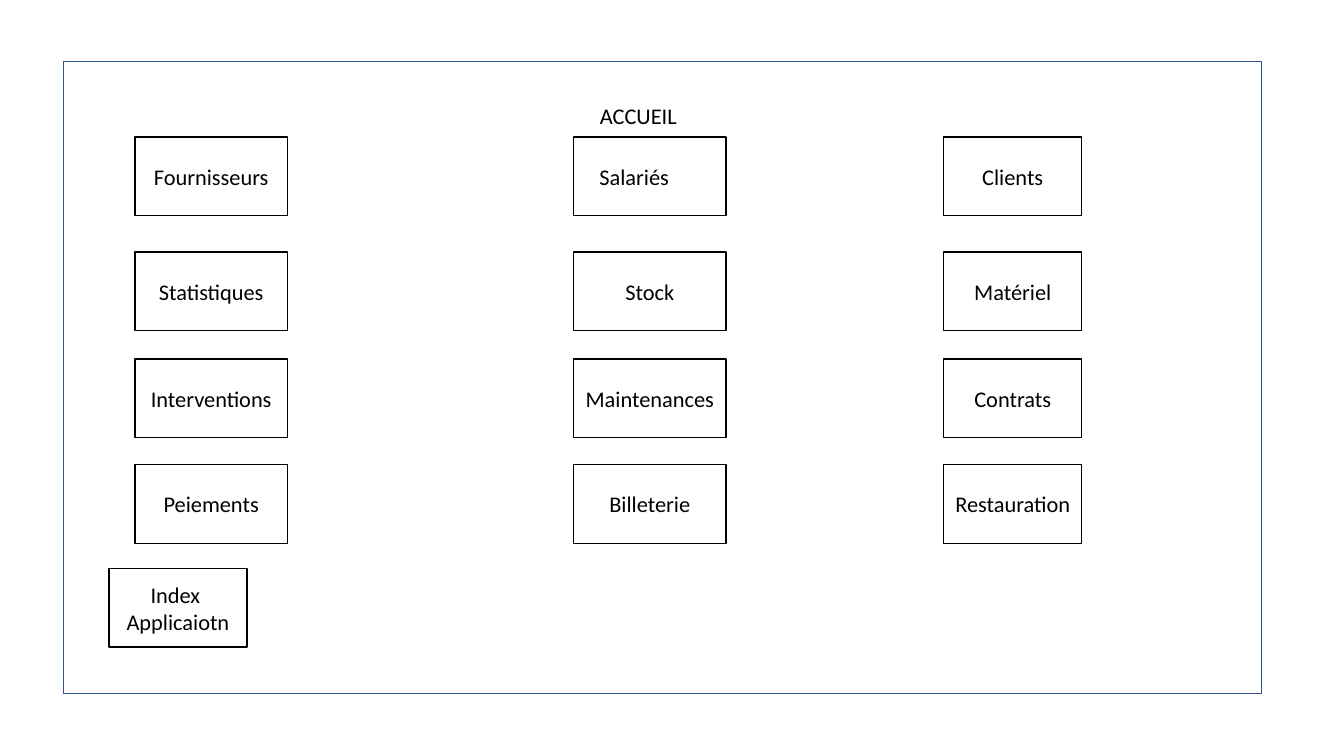
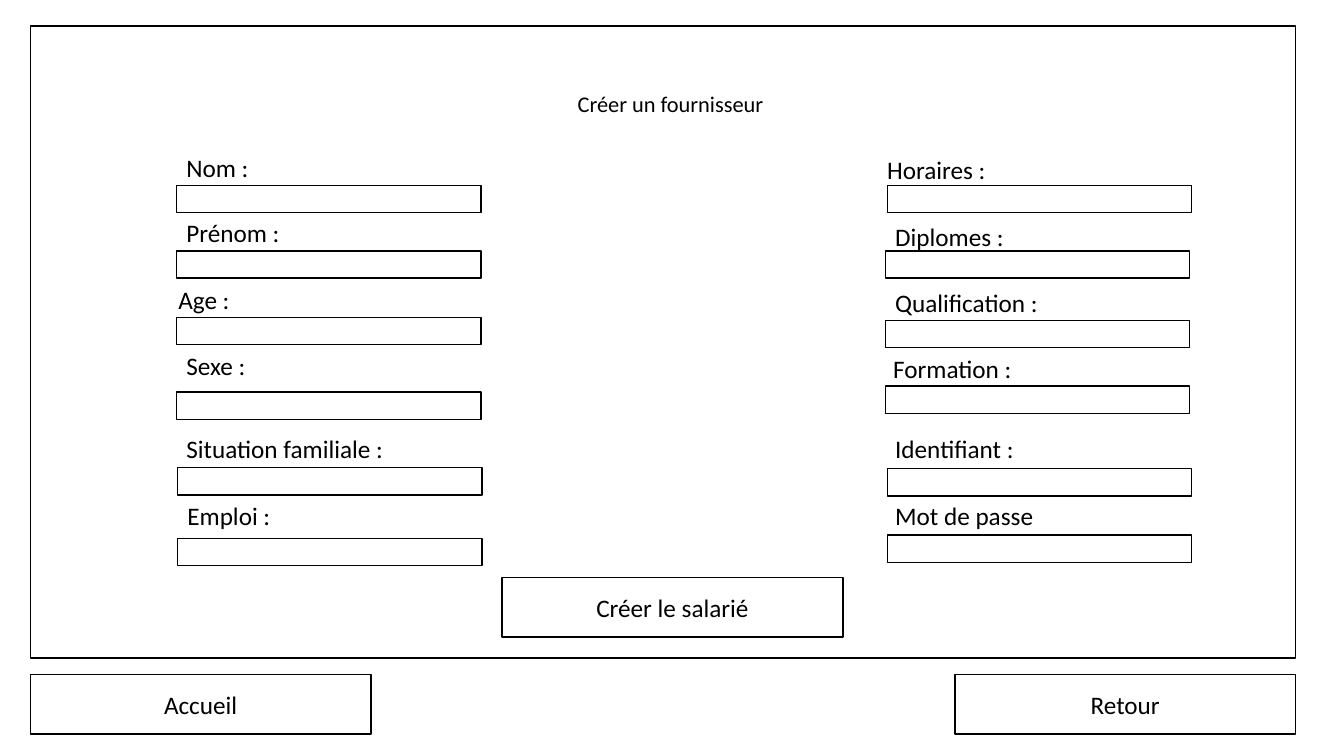
from pptx import Presentation
from pptx.dml.color import RGBColor
from pptx.enum import shapes, text
from pptx.util import Inches, Pt

COLORS = {"ink": "000000", "paper": "FFFFFF", "blue": "325491"}
FONT = "Calibri"

HOME = {"title": ("ACCUEIL", (5.85, 0.96, 1.06, 0.37)),
        "frame": (0.63, 0.61, 11.88, 6.27)}
MENU = [
    (1.34, 1.51, ["Fournisseurs", "Statistiques", "Interventions", "Peiements"]),
    (5.69, 1.51, ["Salariés\t", "Stock", "Maintenances", "Billeterie"]),
    (9.36, 1.37, ["Clients", "Matériel", "Contrats", "Restauration"]),
]
ROWS = [1.36, 2.5, 3.56, 4.61]
TILE = 0.78
INDEX = ("Index \nApplicaiotn", (1.08, 5.64, 1.37, TILE))

FORM = {"title": ("Créer un fournisseur", (5.63, 0.84, 2.08, 0.37)),
        "frame": (0.3, 0.26, 12.55, 6.27)}
FIELDS = [
    ("Nom :", 1.75, 1.46, 1.75, 1.84),
    ("Prénom :", 1.75, 2.11, 1.75, 2.49),
    ("Age :", 1.67, 2.77, 1.75, 3.15),
    ("Sexe :", 1.75, 3.43, 1.75, 3.89),
    ("Situation familiale :", 1.75, 4.25, 1.76, 4.64),
    ("Emploi :", 1.76, 4.91, 1.76, 5.34),
    ("Horaires :", 8.7, 1.48, 8.8, 1.84),
    ("Diplomes :", 8.78, 2.15, 8.78, 2.49),
    ("Qualification : ", 8.78, 2.8, 8.78, 3.18),
    ("Formation :", 8.76, 3.46, 8.78, 3.83),
    ("Identifiant :", 8.78, 4.25, 8.8, 4.65),
    ("Mot de passe", 8.78, 4.91, 8.8, 5.31),
]
FIELD_W, FIELD_H, LABEL_H = 3.02, 0.27, 0.4
BUTTONS = [("Créer le salarié", 4.98, 5.73),
           ("Retour", 9.47, 6.69),
           ("Accueil", 0.3, 6.69)]
BUTTON_W, BUTTON_H = 3.38, 0.59


def tint(name):
    return RGBColor.from_string(COLORS[name])


def write(shape, words, size=16, align="LEFT", anchor="TOP", grow=False):
    frame = shape.text_frame
    frame.text = words
    frame.word_wrap = True
    frame.auto_size = getattr(text.MSO_AUTO_SIZE,
                              "SHAPE_TO_FIT_TEXT" if grow else "NONE")
    frame.vertical_anchor = getattr(text.MSO_ANCHOR, anchor)
    for para in frame.paragraphs:
        para.alignment = getattr(text.PP_ALIGN, align)
        for run in para.runs:
            run.font.name = FONT
            run.font.size = Pt(size)
            run.font.color.rgb = tint("ink")


def box(slide, area, words="", line="ink", size=16):
    shape = slide.shapes.add_shape(shapes.MSO_SHAPE.RECTANGLE,
                                   *map(Inches, area))
    shape.shadow.inherit = False
    shape.fill.solid()
    shape.fill.fore_color.rgb = tint("paper")
    shape.line.color.rgb = tint(line)
    shape.line.width = Pt(1)
    if words:
        write(shape, words, size=size, align="CENTER", anchor="MIDDLE")
    return shape


def label(slide, words, area):
    shape = slide.shapes.add_textbox(*map(Inches, area))
    write(shape, words, size=18, grow=True)


def page(deck, plan, line="ink"):
    slide = deck.slides.add_slide(deck.slide_layouts[5])
    frame = box(slide, plan["frame"], line=line)
    title = slide.shapes.title
    title._element.addprevious(frame._element)
    words, area = plan["title"]
    title.left, title.top, title.width, title.height = map(Inches, area)
    write(title, words, grow=True)
    return slide


deck = Presentation()
deck.slide_width, deck.slide_height = Inches(13.33), Inches(7.5)

home = page(deck, HOME, line="blue")
for left, width, names in MENU:
    for top, name in zip(ROWS, names):
        box(home, (left, top, width, TILE), name)
words, area = INDEX
box(home, area, words)

form = page(deck, FORM)
for words, left, top, field_x, field_y in FIELDS:
    box(form, (field_x, field_y, FIELD_W, FIELD_H))
    label(form, words, (left, top, FIELD_W, LABEL_H))
for words, left, top in BUTTONS:
    box(form, (left, top, BUTTON_W, BUTTON_H), words, size=18)

deck.save("out.pptx")
